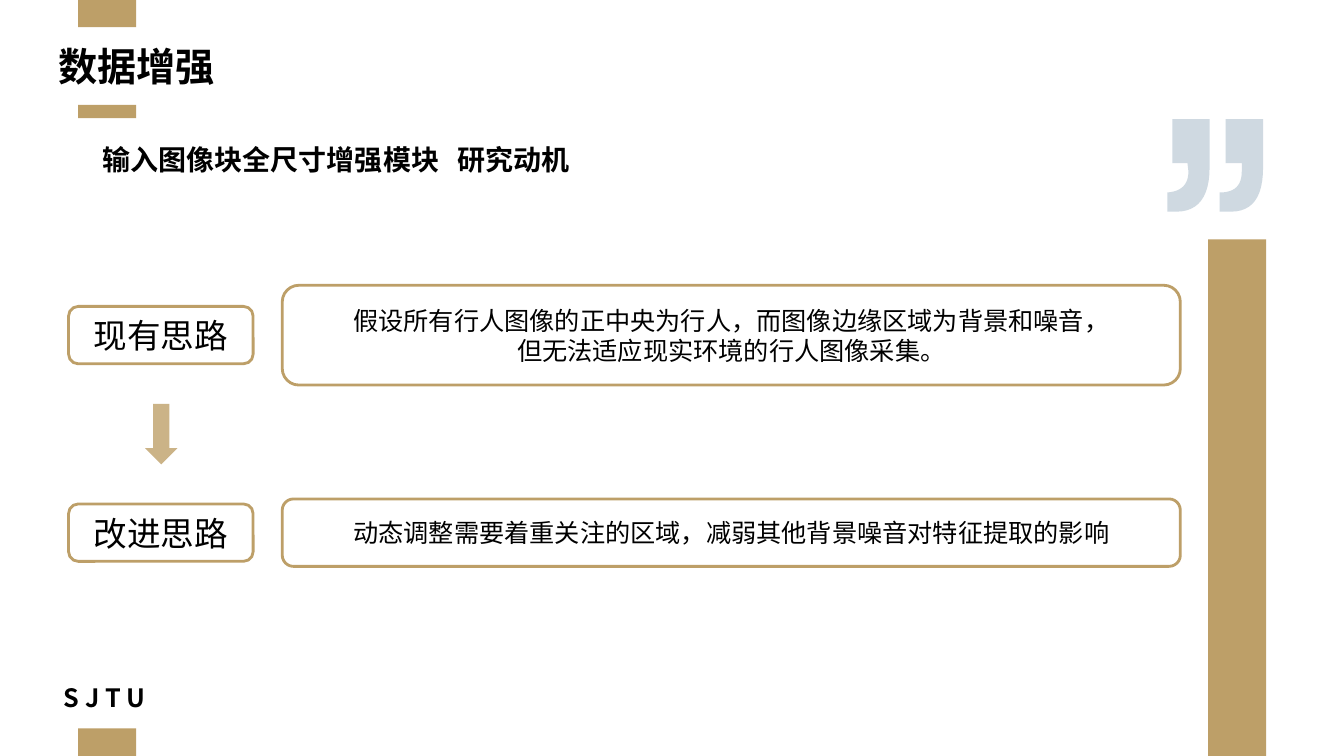
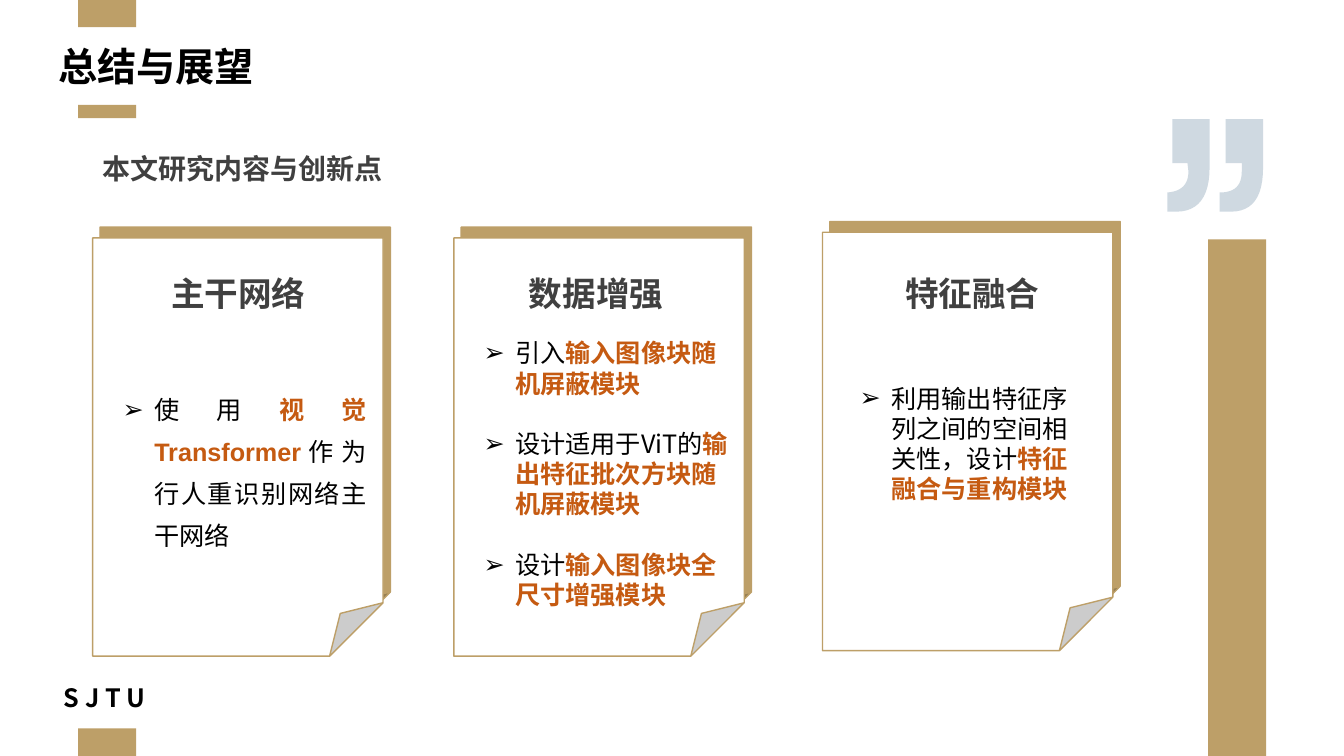
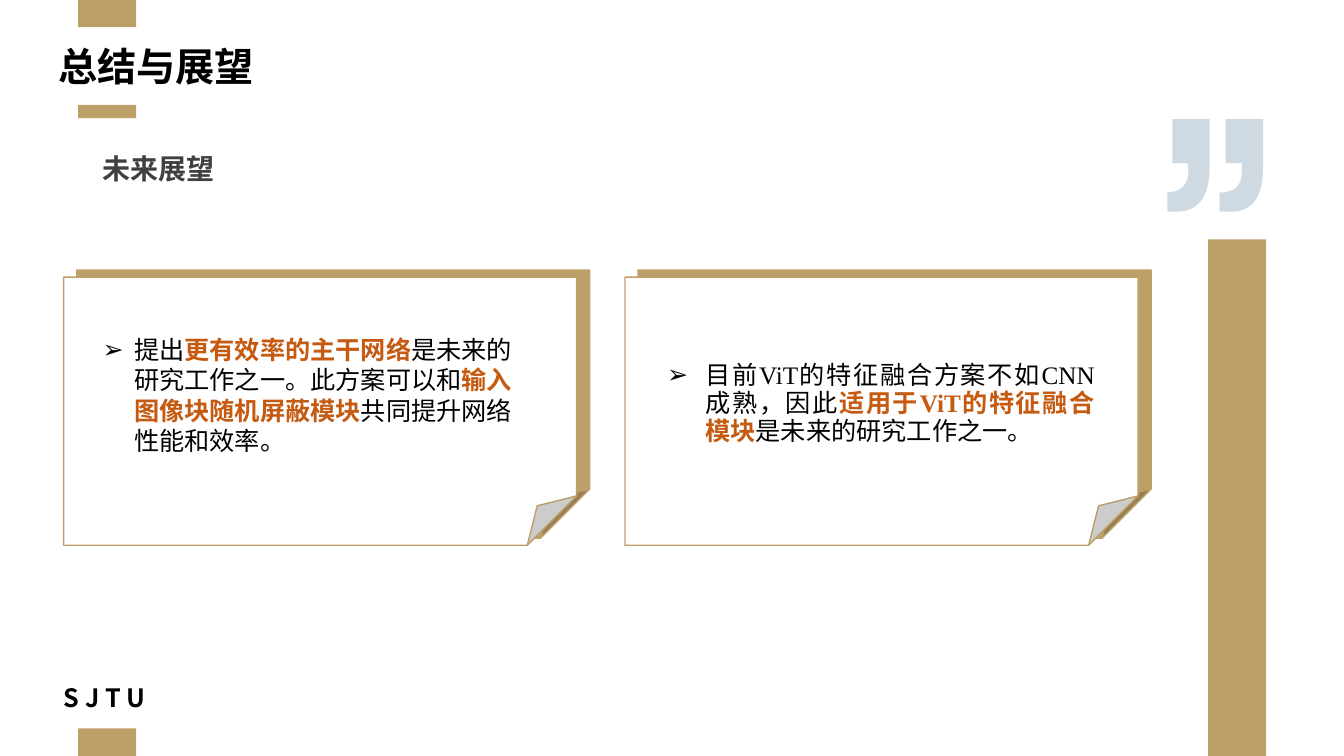
from dataclasses import dataclass
from lxml.etree import SubElement
from pptx import Presentation
from pptx.dml.color import RGBColor
from pptx.enum.shapes import MSO_SHAPE
from pptx.enum.text import MSO_ANCHOR, PP_ALIGN
from pptx.oxml.ns import qn
from pptx.util import Pt


@dataclass(frozen=True)
class Theme:
    gold: str = "BD9F68"
    tan: str = "CBB387"
    mist: str = "C0CDD8"
    white: str = "FFFFFF"
    ink: str = "000000"
    gray: str = "404040"
    hot: str = "C55A11"
    cjk: str = "Noto Sans CJK SC"
    sans: str = "Arial"
    serif: str = "Times New Roman"
    title: int = 28
    label: int = 24
    lead: int = 20
    body: int = 18


T = Theme()
WIDE, HIGH = 960, 540

BANDS = [(55.8, 0, 41.4, 19.4), (55.8, 75, 41.4, 9.4),
         (55.8, 520.2, 41.4, 19.8), (863, 171, 41.4, 369)]
MARKS = [
    [(902.2, 85), (902.2, 119.5), (902.2, 140.4, 895, 151.2, 879.1, 151.2),
     (877, 151.2, 874.8, 151.2, 871.2, 151.2), (871.2, 137.5),
     (882, 137.5, 887, 132.5, 887, 122.4), (887, 116.6), (875.5, 116.6),
     (875.5, 85)],
    [(837.4, 116.6), (848.2, 116.6), (848.9, 122.4),
     (848.9, 131.8, 843.8, 136.8, 833.8, 137.5), (833.8, 151.2),
     (836.6, 151.2, 838.8, 151.2, 840.2, 151.2),
     (856.1, 151.2, 864, 140.4, 864, 119.5), (864, 85), (837.4, 85)],
]

IDEAS = [
    ("现有思路", 239.4, 71.3,
     ["假设所有行人图像的正中央为行人，而图像边缘区域为背景和噪音，",
      "但无法适应现实环境的行人图像采集。"]),
    ("改进思路", 380.5, 48.2,
     ["动态调整需要着重关注的区域，减弱其他背景噪音对特征提取的影响"]),
]

WORKS = [
    dict(head="主干网络", at=(66.2, 169.9), tab=115.2, text=(80.6, 270, 188.6, 125.3),
         style=dict(align=PP_ALIGN.JUSTIFY, lead=Pt(30)),
         paras=[[("使用",), ("视觉", True), ("Transformer", True, T.sans),
                 ("作为行人重识别网络主干网络",)]]),
    dict(head="数据增强", at=(324.2, 169.9), tab=370.8, text=(338.4, 237.6, 190, 203.8),
         style=dict(gap=21.6),
         paras=[[("引入",), ("输入图像块随机屏蔽模块", True)],
                [("设计适用于ViT的",), ("输出特征批次方块随机屏蔽模块", True)],
                [("设计",), ("输入图像块全尺寸增强模块", True)]]),
    dict(head="特征融合", at=(587.5, 165.9), tab=639.4, text=(607, 270, 179.3, 94.3),
         style={},
         paras=[[("利用输出特征序列之间的空间相关性，设计",),
                 ("特征融合与重构模块", True)]]),
]

PLANS = [
    dict(left=45.4, text=(66.2, 235.4, 319.7, 94.3), style={},
         paras=[[("提出",), ("更有效率的主干网络", True),
                 ("是未来的研究工作之一。此方案可以和",),
                 ("输入图像块随机屏蔽模块", True),
                 ("共同提升网络性能和效率。",)]]),
    dict(left=446.4, text=(469.4, 254.9, 319.7, 67.7),
         style=dict(align=PP_ALIGN.JUSTIFY, lead=Pt(20), hang=27.4),
         paras=[[("目前",), ("ViT", False, T.serif), ("的特征融合方案不如",),
                 ("CNN", False, T.serif), ("成熟，因此",), ("适用于", True),
                 ("ViT", True, T.serif), ("的特征融合模块", True),
                 ("是未来的研究工作之一。",)]]),
]


def rgb(code):
    return RGBColor.from_string(code)


def pts(nums):
    return [Pt(n) for n in nums]


def paint(shape, fill, line=None, width=1):
    shape.shadow.inherit = False
    shape.fill.solid()
    shape.fill.fore_color.rgb = rgb(fill)
    if line:
        shape.line.color.rgb = rgb(line)
        shape.line.width = Pt(width)
    else:
        shape.line.fill.background()


def block(shapes, kind, box, fill, line=None, width=1):
    shape = shapes.add_shape(kind, *pts(box))
    paint(shape, fill, line, width)
    return shape


def write(frame, paras, size, color=T.ink, face=T.cjk, bold=False,
          align=PP_ALIGN.LEFT, lead=None, gap=0, hang=0, stop=0):
    frame.word_wrap = True
    for i, runs in enumerate(paras):
        para = frame.add_paragraph() if i else frame.paragraphs[0]
        para.alignment = align
        if lead:
            para.line_spacing = lead
        if i and gap:
            para.space_before = Pt(gap)
        props = para._p.get_or_add_pPr()
        if hang:
            props.set("marL", str(Pt(hang)))
            props.set("indent", str(-Pt(hang)))
            SubElement(props, qn("a:buFont"), typeface=T.sans)
            SubElement(props, qn("a:buChar"), char="➢")
        if stop:
            tabs = SubElement(props, qn("a:tabLst"))
            SubElement(tabs, qn("a:tab"), pos=str(Pt(stop)), algn="l")
        font = para.font
        font.size, font.bold, font.name = Pt(size), bold, face
        font.color.rgb = rgb(color)
        SubElement(props.find(qn("a:defRPr")), qn("a:ea"), typeface=T.cjk)
        for text, *look in [(runs,)] if isinstance(runs, str) else runs:
            run = para.add_run()
            run.text = text
            if look and look[0]:
                run.font.bold = True
                run.font.color.rgb = rgb(T.hot)
            if len(look) > 1:
                run.font.name = look[1]


def label(slide, box, paras, size, **style):
    frame = slide.shapes.add_textbox(*pts(box)).text_frame
    write(frame, paras, size, **style)
    return frame


def trace(steps):
    out = [steps[0]]
    for step in steps[1:]:
        if len(step) == 2:
            out.append(step)
            continue
        ends = [out[-1], step[:2], step[2:4], step[4:]]
        for t in (k / 12 for k in range(1, 13)):
            mix = ((1 - t) ** 3, 3 * t * (1 - t) ** 2, 3 * t * t * (1 - t), t ** 3)
            out.append(tuple(sum(m * e[d] for m, e in zip(mix, ends))
                             for d in (0, 1)))
    return out


def quote(slide):
    pen = None
    for steps in MARKS:
        dots = [pts(dot) for dot in trace(steps)]
        if pen is None:
            pen = slide.shapes.build_freeform(*dots[0])
        else:
            pen.move_to(*dots[0])
        pen.add_line_segments(dots[1:], close=True)
    shape = pen.convert_to_shape()
    paint(shape, T.mist)
    tint = shape._element.spPr.find(qn("a:solidFill")).find(qn("a:srgbClr"))
    SubElement(tint, qn("a:alpha"), val="75000")


def page(deck, title):
    slide = deck.slides.add_slide(deck.slide_layouts[6])
    for band in BANDS:
        block(slide.shapes, MSO_SHAPE.RECTANGLE, band, T.gold)
    foot = label(slide, (45.4, 489.6, 61.2, 19.4), ["S J T U"], T.body,
                 bold=True, lead=0.9)
    foot.vertical_anchor = MSO_ANCHOR.BOTTOM
    foot.margin_left = foot.margin_right = 0
    foot.margin_top = foot.margin_bottom = 0
    quote(slide)
    label(slide, (34.6, 26.6, 869.8, 41), [title], T.title, bold=True)
    return slide


def topic(slide, text):
    label(slide, (66.2, 97.2, 755.3, 36), [text], T.lead, color=T.gray,
          face=T.sans, bold=True, lead=1.3)


def card(slide, left, top, width, high, dx, dy):
    group = slide.shapes.add_group_shape()
    for x, y, fill in ((left + dx, top - dy, T.gold), (left, top, T.white)):
        sheet = block(group.shapes, MSO_SHAPE.FOLDED_CORNER,
                      (x, y, width, high), fill, T.gold)
        shape = sheet._element.spPr.find(qn("a:prstGeom"))
        fold = shape.find(qn("a:avLst"))
        SubElement(fold, qn("a:gd"), name="adj", fmla="val 18400")


def pill(slide, box, paras, size):
    shape = block(slide.shapes, MSO_SHAPE.ROUNDED_RECTANGLE, box,
                  T.white, T.gold, 2)
    shape.text_frame.vertical_anchor = MSO_ANCHOR.MIDDLE
    write(shape.text_frame, paras, size, align=PP_ALIGN.CENTER)


def motive(deck):
    slide = page(deck, "数据增强")
    label(slide, (66.2, 90.7, 433.4, 36), ["输入图像块全尺寸增强模块\t研究动机"],
          T.lead, bold=True, lead=1.3, stop=253.5)
    for name, mid, high, lines in IDEAS:
        pill(slide, (201.6, mid - high / 2, 641.5, high), lines, T.body)
        pill(slide, (49, mid - 20.5, 131.8, 41), [name], T.label)
    block(slide.shapes, MSO_SHAPE.DOWN_ARROW, (103.7, 288.5, 23, 43.2), T.tan)


def recap(deck):
    slide = page(deck, "总结与展望")
    topic(slide, "本文研究内容与创新点")
    for work in WORKS:
        card(slide, *work["at"], 207.4, 298.8, 5.2, 7.7)
        label(slide, work["text"], work["paras"], T.body,
              **{"hang": 22.5, **work["style"]})
        label(slide, (work["tab"], 182.9, 115.2, 41), [work["head"]], T.label,
              color=T.gray, face=T.sans, bold=True, lead=1.3)


def future(deck):
    slide = page(deck, "总结与展望")
    topic(slide, "未来展望")
    for plan in PLANS:
        card(slide, plan["left"], 198, 366.5, 191.5, 9.4, 5)
        label(slide, plan["text"], plan["paras"], T.body,
              **{"hang": 22.5, **plan["style"]})


def main():
    deck = Presentation()
    deck.slide_width, deck.slide_height = Pt(WIDE), Pt(HIGH)
    for build in (motive, recap, future):
        build(deck)
    deck.save("out.pptx")


if __name__ == "__main__":
    main()
